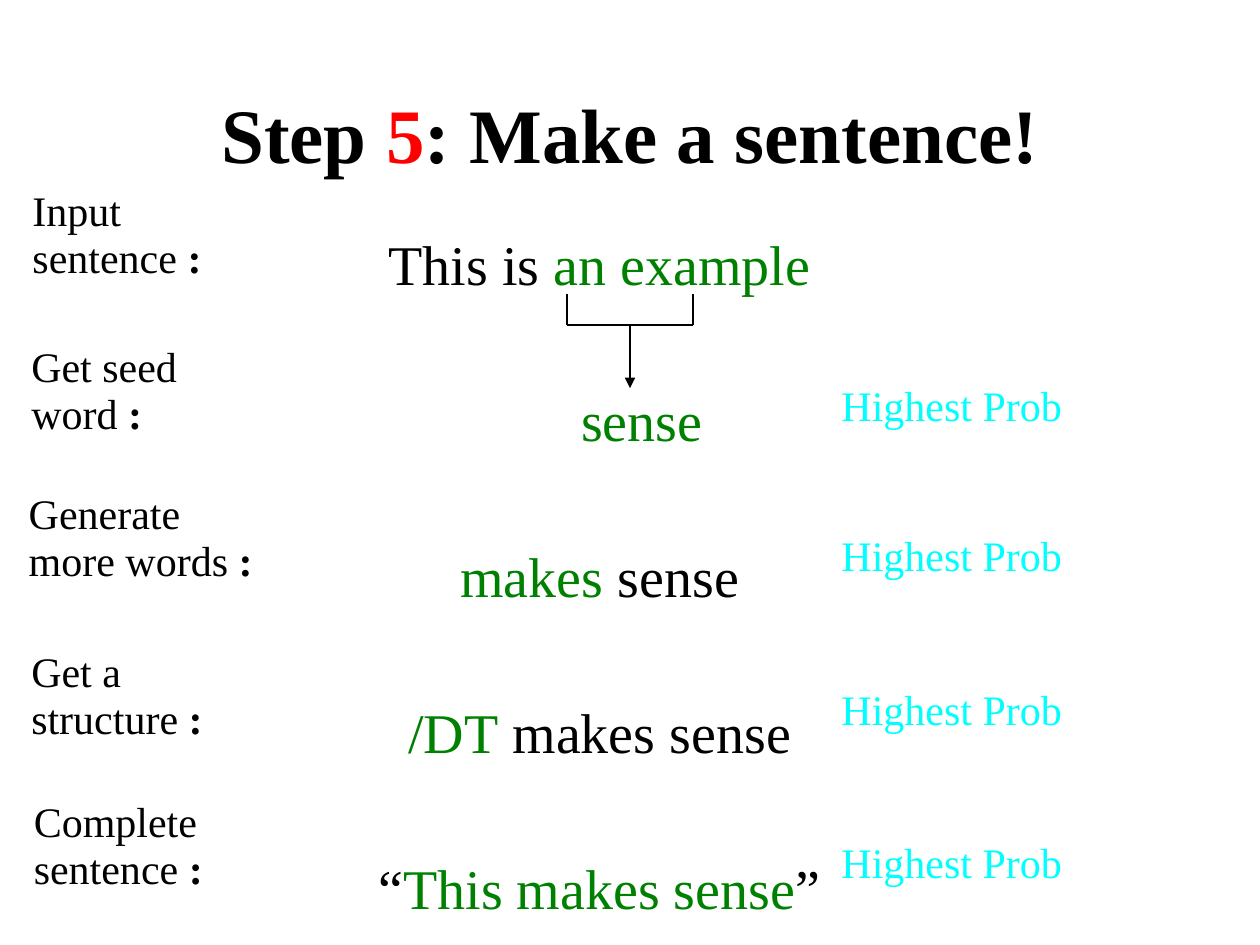
from lxml import etree
from pptx import Presentation
from pptx import util as u
from pptx.dml.color import RGBColor
from pptx.enum import shapes, text
from pptx.oxml.ns import qn

COLORS = {"ink": "000000", "step": "FF0000", "new": "008000", "prob": "00FFFF"}


class Deck:
    font = "Times New Roman"
    cell = u.Inches(0.5)

    def __init__(self):
        self.prs = Presentation()
        self.prs.slide_width, self.prs.slide_height = 20 * self.cell, 15 * self.cell
        self.s = self.prs.slides.add_slide(self.prs.slide_layouts[5])

    def grid(self, *cells):
        return [u.Emu(round(n * self.cell)) for n in cells]

    def frame(self, sp, inset=(0.1, 0.05), anchor=text.MSO_ANCHOR.TOP,
              fit=text.MSO_AUTO_SIZE.NONE):
        tf = sp.text_frame
        tf.word_wrap, tf.vertical_anchor, tf.auto_size = True, anchor, fit
        tf.margin_left = tf.margin_right = u.Inches(inset[0])
        tf.margin_top = tf.margin_bottom = u.Inches(inset[1])
        return tf

    def add_runs(self, p, runs, size, align=text.PP_ALIGN.LEFT, spacing=0.93):
        p.alignment, p.line_spacing = align, spacing
        for words, color, bold in runs:
            r = p.add_run()
            r.text = words
            r.font.name, r.font.size, r.font.bold = self.font, u.Pt(size), bold
            r.font.color.rgb = RGBColor.from_string(COLORS[color])

    def title(self, box, runs):
        sp = self.s.shapes.title
        sp.left, sp.top, sp.width, sp.height = self.grid(*box)
        tf = self.frame(sp, (0, 0), text.MSO_ANCHOR.MIDDLE)
        self.add_runs(tf.paragraphs[0], runs, 44, text.PP_ALIGN.CENTER)

    def label(self, box, runs, spacing=0.93):
        tf = self.frame(self.s.shapes.add_textbox(*self.grid(*box)),
                        fit=text.MSO_AUTO_SIZE.SHAPE_TO_FIT_TEXT)
        self.add_runs(tf.paragraphs[0], runs, 24, spacing=spacing)

    def sentences(self, box, lines, gap):
        tf = self.frame(self.s.shapes.add_textbox(*self.grid(*box)), (0, 0))
        for i, (indent, runs) in enumerate(lines):
            p = tf.add_paragraph() if i else tf.paragraphs[0]
            if i:
                p.space_before = u.Pt(gap)
            if indent:
                p._p.get_or_add_pPr().set("marL", str(self.grid(indent)[0]))
            self.add_runs(p, runs, 32, text.PP_ALIGN.CENTER)

    def line(self, start, end, arrow=False):
        c = self.s.shapes.add_connector(shapes.MSO_CONNECTOR.STRAIGHT,
                                        *self.grid(*start, *end))
        c.line.color.rgb = RGBColor.from_string(COLORS["ink"])
        c.line.width = u.Pt(0.75)
        if arrow:
            etree.SubElement(c.line._get_or_add_ln(), qn("a:tailEnd"), type="triangle")
        etree.SubElement(c._element.spPr, qn("a:effectLst"))


def main():
    deck = Deck()
    deck.title((1.5, 0.94, 17, 2.5), [("Step ", "ink", True), ("5", "step", True),
                                      (": Make a sentence!", "ink", True)])

    deck.sentences((1.02, 3.74, 17, 10.7), [
        (0, [("This is ", "ink", False), ("an example", "new", False)]),
        (1.34, [("sense", "new", False)]),
        (0, [("makes", "new", False), (" sense", "ink", False)]),
        (0, [("/DT", "new", False), (" makes sense", "ink", False)]),
        (0, [("“", "ink", False), ("This makes sense", "new", False),
             ("”", "ink", False)]),
    ], gap=53.4)

    for col, row, words in [(0.32, 2.9, "Input sentence "),
                            (0.3, 5.38, "Get seed word "),
                            (0.26, 7.72, "Generate more words "),
                            (0.3, 10.22, "Get a structure "),
                            (0.34, 12.6, "Complete sentence ")]:
        deck.label((col, row, 4, 1.68), [(words, "ink", False), (":", "ink", True)])

    left, middle, right, top, bar = 9, 10, 11, 4.66, 5.16
    deck.line((middle, bar), (middle, bar + 1), arrow=True)
    deck.line((right, bar), (left, bar))
    for col in (left, right):
        deck.line((col, bar), (col, top))

    for row in (6.12, 8.5, 10.94, 13.38):
        deck.label((13.16, row, 4.5, 0.78), [("Highest Prob", "prob", False)], 0.74)

    deck.prs.save("out.pptx")


if __name__ == "__main__":
    main()
